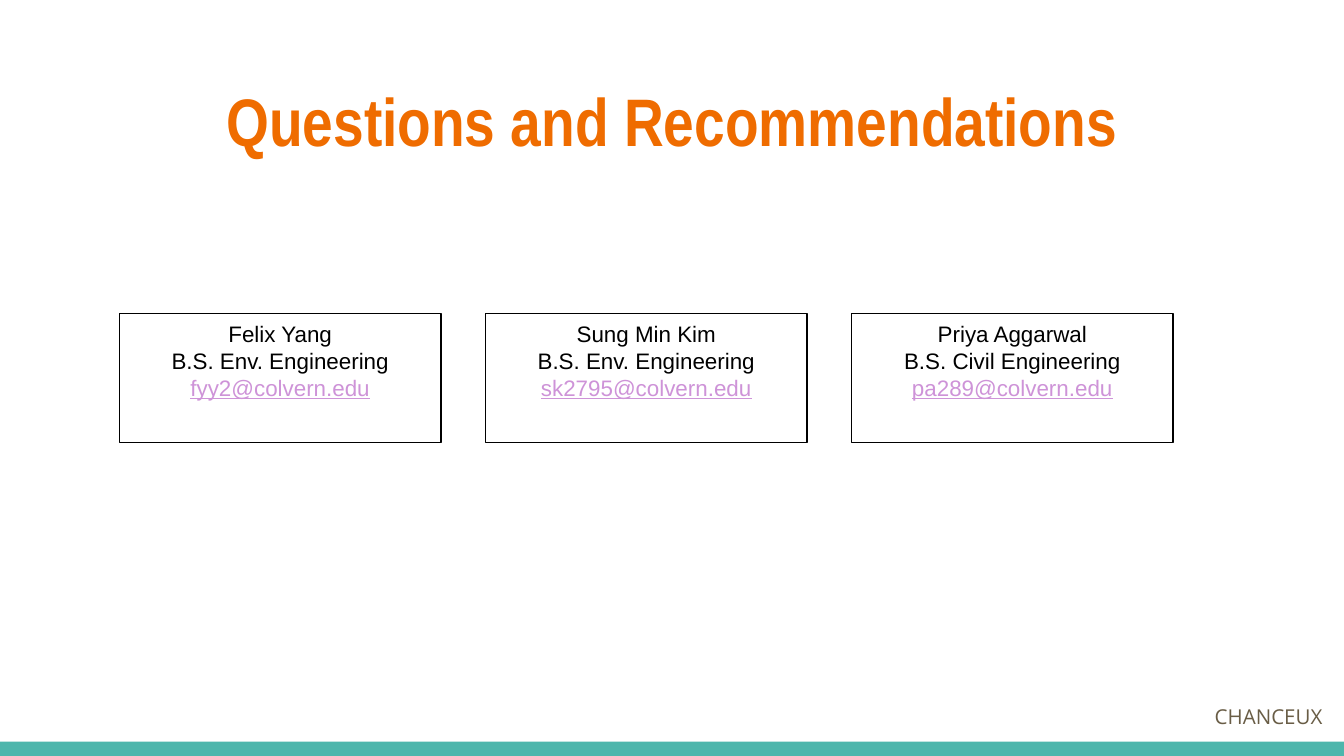
import pptx
import pptx.dml.color
import pptx.enum.shapes
import pptx.enum.text
import pptx.util

Pt = pptx.util.Pt
COLORS = {
    "white": "FFFFFF",
    "black": "000000",
    "teal": "4DB6AC",
    "orange": "EF6C00",
    "lilac": "CE93D8",
    "brown": "695D46",
}
CONTACTS = [
    ("Felix Yang", "B.S. Env. Engineering", "fyy2@colvern.edu"),
    ("Sung Min Kim", "B.S. Env. Engineering", "sk2795@colvern.edu"),
    ("Priya Aggarwal", "B.S. Civil Engineering", "pa289@colvern.edu"),
]


def color(name):
    return pptx.dml.color.RGBColor.from_string(COLORS[name])


class SlideBuilder:
    """Holds the text style and the slide being built."""

    body_font = "Arial"
    body_size = 12

    def __init__(self, slide):
        self.slide = slide

    def set_text(self, shape, lines, font, size, color_name, bold=False,
                 anchor="TOP", inset=7.2):
        frame = shape.text_frame
        frame.word_wrap = True
        frame.auto_size = pptx.enum.text.MSO_AUTO_SIZE.NONE
        frame.vertical_anchor = pptx.enum.text.MSO_ANCHOR[anchor]
        frame.margin_left = frame.margin_right = Pt(7.2)
        frame.margin_top = frame.margin_bottom = Pt(inset)
        frame.text = "\n".join(lines)
        for paragraph in frame.paragraphs:
            paragraph.alignment = pptx.enum.text.PP_ALIGN.CENTER
            paragraph.font.name = font
            paragraph.font.size = Pt(size)
            paragraph.font.bold = bold
            paragraph.font.color.rgb = color(color_name)

    def title(self, text, left, top, width, height):
        shape = self.slide.shapes.title
        shape.left, shape.top = Pt(left), Pt(top)
        shape.width, shape.height = Pt(width), Pt(height)
        self.set_text(shape, [text], "Arial Narrow", 36, "orange", bold=True)

    def rectangle(self, left, top, width, height, fill, line=None):
        shape = self.slide.shapes.add_shape(
            pptx.enum.shapes.MSO_SHAPE.RECTANGLE,
            Pt(left), Pt(top), Pt(width), Pt(height))
        shape.shadow.inherit = False
        shape.fill.solid()
        shape.fill.fore_color.rgb = color(fill)
        if line:
            shape.line.color.rgb = color(line)
            shape.line.width = Pt(0.75)
        else:
            shape.line.fill.background()
        return shape

    def contact_card(self, lines, left, top, width, height):
        card = self.rectangle(left, top, width, height, "white", "black")
        self.set_text(card, lines, self.body_font, self.body_size, "black",
                      inset=3.6)
        # The address run carries its own colour and underline
        address = card.text_frame.paragraphs[-1].runs[0]
        address.font.color.rgb = color("lilac")
        address.font.underline = True

    def label(self, text, left, top, width, height):
        box = self.slide.shapes.add_textbox(
            Pt(left), Pt(top), Pt(width), Pt(height))
        self.set_text(box, [text], "Open Sans", 11, "brown", anchor="MIDDLE")


def main():
    presentation = pptx.Presentation()
    presentation.slide_width, presentation.slide_height = Pt(720), Pt(405)
    title_only = presentation.slide_layouts[5]
    builder = SlideBuilder(presentation.slides.add_slide(title_only))

    # Bottom band and title
    builder.rectangle(0, 397.4, 720, 7.6, "teal")
    builder.title("Questions and Recommendations", 24.5, 35.3, 671, 55.4)

    # Row of contact cards
    for index, contact in enumerate(CONTACTS):
        builder.contact_card(contact, 64.1 + 196.1 * index, 168, 172.1, 69)

    # Team name
    builder.label("CHANCEUX ", 642.2, 368, 77.8, 31.7)

    presentation.save("out.pptx")


if __name__ == "__main__":
    main()
